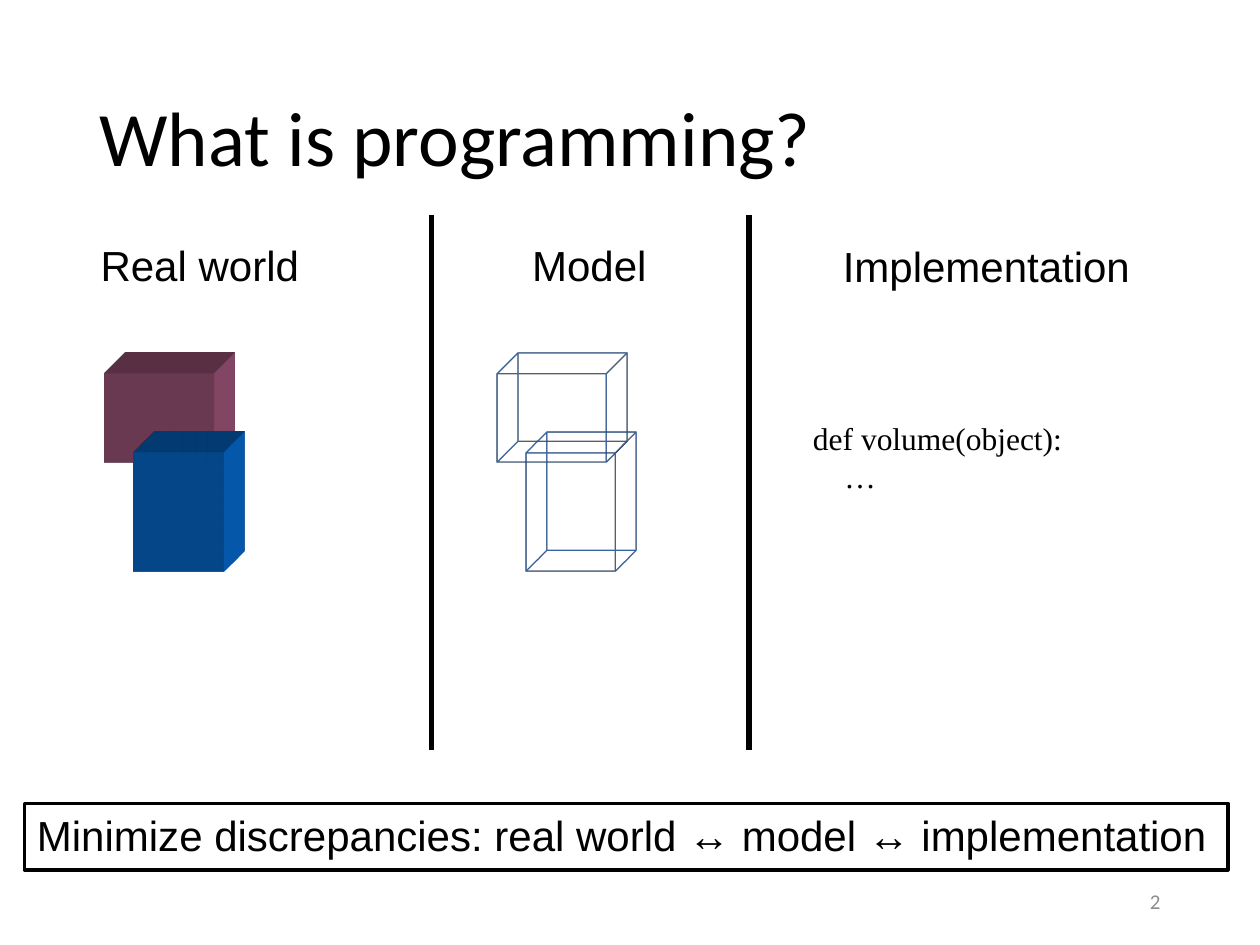
from lxml import etree
from pptx import Presentation
from pptx.dml.color import RGBColor
from pptx.enum.shapes import MSO_CONNECTOR, MSO_SHAPE
from pptx.enum.text import MSO_ANCHOR, MSO_AUTO_SIZE, PP_ALIGN
from pptx.oxml.ns import qn
from pptx.util import Pt

LEFT, RIGHT = PP_ALIGN.LEFT, PP_ALIGN.RIGHT
TOP, MIDDLE = MSO_ANCHOR.TOP, MSO_ANCHOR.MIDDLE
GROW, FIXED = MSO_AUTO_SIZE.SHAPE_TO_FIT_TEXT, MSO_AUTO_SIZE.NONE
RECT, STRAIGHT = MSO_SHAPE.RECTANGLE, MSO_CONNECTOR.STRAIGHT

BLACK = RGBColor(0x00, 0x00, 0x00)
GREY = RGBColor(0x8C, 0x8C, 0x8C)
PLUM = RGBColor(0x95, 0x4F, 0x72)
BLUE = RGBColor(0x05, 0x63, 0xC1)

DEPTH = "430200"
SOLID, WIRE = "legacyMatte", "legacyWireframe"
BOXES = [((59.6, 213.2, 62.6, 51), PLUM), ((76.2, 258.4, 51.4, 68), BLUE)]
MODEL = 224.2


def style(par, size, face, color, align=LEFT):
    par.alignment = align
    par.font.size = Pt(size)
    par.font.name = face
    par.font.color.rgb = color


def add_text(slide, area, lines, size, face="Arial", color=BLACK,
             align=LEFT, anchor=TOP, wrap=False):
    box = slide.shapes.add_textbox(*map(Pt, area))
    frame = box.text_frame
    frame.word_wrap = wrap
    frame.auto_size = FIXED if wrap else GROW
    frame.vertical_anchor = anchor
    frame.text = "\n".join(lines)
    for par in frame.paragraphs:
        style(par, size, face, color, align)
    return box


def add_line(slide, start, end, color, width):
    line = slide.shapes.add_connector(STRAIGHT, *map(Pt, (*start, *end)))
    line.line.color.rgb = color
    line.line.width = Pt(width)
    etree.SubElement(line._element.spPr, qn("a:effectLst"))


def add_block(slide, area, color, finish):
    block = slide.shapes.add_shape(RECT, *map(Pt, area))
    block.shadow.inherit = False
    block.fill.solid()
    block.fill.fore_color.rgb = color
    block.line.fill.background()
    props = block._element.spPr
    scene = etree.SubElement(props, qn("a:scene3d"))
    etree.SubElement(scene, qn("a:camera"), prst="legacyObliqueTopRight")
    etree.SubElement(scene, qn("a:lightRig"), rig="legacyFlat3", dir="b")
    solid = etree.SubElement(props, qn("a:sp3d"), extrusionH=DEPTH, prstMaterial=finish)
    for edge in ("a:bevelT", "a:bevelB"):
        etree.SubElement(solid, qn(edge), w="13500", h="13500", prst="angle")
    tint = etree.SubElement(solid, qn("a:extrusionClr"))
    etree.SubElement(tint, qn("a:srgbClr"), val=str(color))


def add_title(slide, text):
    title = slide.shapes.title
    title.left, title.top, title.width, title.height = map(Pt, (49.5, 28.5, 621, 104.4))
    title.text_frame.text = text
    title.text_frame.vertical_anchor = MIDDLE
    par = title.text_frame.paragraphs[0]
    par.line_spacing = 0.9
    style(par, 44, "Calibri", BLACK)


def main():
    deck = Presentation()
    deck.slide_width, deck.slide_height = Pt(720), Pt(540)
    slide = deck.slides.add_slide(deck.slide_layouts[5])
    add_title(slide, "What is programming?")

    heads = [("Real world", 50.4, 133.4, 128), ("Model", 297, 133.4, 80),
             ("Implementation", 474.5, 133.9, 178.6)]
    for text, left, top, width in heads:
        add_text(slide, (left, top, width, 36), [text], 24)
    for x in (246.7, 428):
        add_line(slide, (x, 122.6), (x, 428.6), BLACK, 3)

    for (x, y, w, h), color in BOXES:
        add_block(slide, (x, y, w, h), color, SOLID)
        add_block(slide, (x + MODEL, y, w, h), color, WIRE)

    add_text(slide, (457.5, 235.8, 158.4, 51), ["def volume(object):", "    …"],
             18, "Times New Roman")
    banner = add_text(slide, (14, 459, 687.6, 38),
                      ["Minimize discrepancies: real world ↔ model ↔ implementation"], 24)
    banner.line.color.rgb = BLACK
    banner.line.width = Pt(2)
    add_text(slide, (508.3, 500.4, 162, 28.8), ["2"], 12, "Calibri", GREY,
             RIGHT, MIDDLE, True)
    deck.save("out.pptx")


if __name__ == "__main__":
    main()
